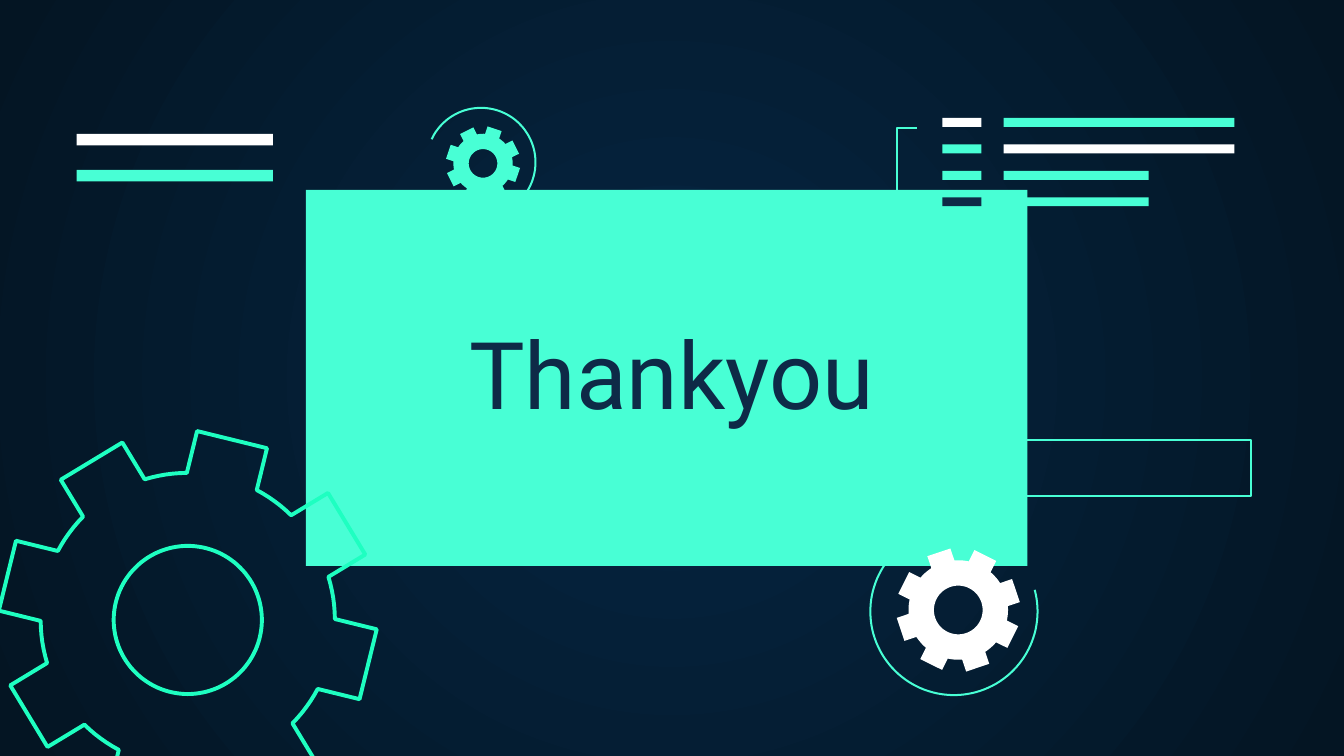
from dataclasses import dataclass
from math import asin, cos, degrees, hypot, radians, sin

from lxml import etree
from pptx import Presentation
from pptx.dml.color import RGBColor
from pptx.enum.shapes import MSO_SHAPE
from pptx.enum.text import MSO_ANCHOR, PP_ALIGN
from pptx.oxml.ns import qn
from pptx.util import Cm, Pt

RECTANGLE = MSO_SHAPE.RECTANGLE
BOTTOM = MSO_ANCHOR.BOTTOM
CENTER = PP_ALIGN.CENTER


@dataclass(frozen=True)
class Theme:
    glow: str = "052643"
    night: str = "041523"
    navy: str = "0E2A47"
    mint: str = "48FFD5"
    green: str = "1EFFC1"
    white: str = "FFFFFF"
    font: str = "Roboto"
    title_size: float = 50
    thin: float = 1.09
    thick: float = 2.1


THEME = Theme()


def rgb(color):
    return RGBColor.from_string(color)


def style(shape, fill=None, line=None, width=THEME.thin):
    shape.shadow.inherit = False
    if fill:
        shape.fill.solid()
        shape.fill.fore_color.rgb = rgb(fill)
    else:
        shape.fill.background()
    if line:
        shape.line.color.rgb = rgb(line)
        shape.line.width = Pt(width)
    else:
        shape.line.fill.background()


def paint_background(slide):
    """Fill the slide with a gradient that darkens from its centre."""
    fill = slide.background.fill
    fill.gradient()
    for stop, color, position in zip(fill.gradient_stops, (THEME.glow, THEME.night), (0, 1)):
        stop.color.rgb = rgb(color)
        stop.position = position
    gradient = slide.element.find(".//" + qn("a:gradFill"))
    linear = gradient.find(qn("a:lin"))
    circle = etree.Element(qn("a:path"), path="circle")
    sides = dict.fromkeys("ltrb", "50000")
    etree.SubElement(circle, qn("a:fillToRect"), sides)
    gradient.replace(linear, circle)


def add_box(slide, left, top, width, height, **look):
    box = slide.shapes.add_shape(RECTANGLE, Cm(left), Cm(top), Cm(width), Cm(height))
    style(box, **look)


def add_outline(slide, *contours, close=True, **look):
    """Draw one freeform from lists of points in centimetres."""
    builder = None
    for contour in contours:
        first, *rest = [(Cm(x), Cm(y)) for x, y in contour]
        if builder is None:
            builder = slide.shapes.build_freeform(*first)
        else:
            builder.move_to(*first)
        builder.add_line_segments(rest, close=close)
    style(builder.convert_to_shape(), **look)


def arc_points(center, radius, start, end, step=3):
    """Points along an arc; angles in degrees, clockwise from the right."""
    count = max(1, round(abs(end - start) / step))
    angles = [radians(start + (end - start) * i / count) for i in range(count + 1)]
    return [(center[0] + radius * cos(a), center[1] + radius * sin(a)) for a in angles]


def add_gear(slide, center, tip, body, hole, half_tooth, angle, teeth=8, **look):
    """Draw a gear; tip is the distance from the centre to a tooth's flat end."""
    pitch = 360 / teeth
    corner_radius = hypot(tip, half_tooth)
    corner = degrees(asin(half_tooth / corner_radius))
    root = degrees(asin(half_tooth / body))
    rim = []
    for tooth in range(teeth):
        middle = angle + tooth * pitch
        rim += arc_points(center, corner_radius, middle - corner, middle + corner, step=360)
        rim += arc_points(center, body, middle + root, middle + pitch - root)
    add_outline(slide, rim, arc_points(center, hole, 360, 0), **look)


def add_text(slide, text, left, top, width, height, *, size, color, font, align, anchor):
    box = slide.shapes.add_textbox(Cm(left), Cm(top), Cm(width), Cm(height))
    frame = box.text_frame
    frame.word_wrap = True
    frame.vertical_anchor = anchor
    frame.margin_left = frame.margin_right = Cm(0.25)
    frame.margin_top = frame.margin_bottom = Cm(0.25)
    para = frame.paragraphs[0]
    para.alignment = align
    span = para.add_run()
    span.text = text
    span.font.size = Pt(size)
    span.font.name = font
    span.font.color.rgb = rgb(color)


def add_code_lines(slide):
    rows = [
        (THEME.white, THEME.mint, 4.36),
        (THEME.mint, THEME.white, 4.36),
        (THEME.mint, THEME.mint, 2.74),
        (THEME.navy, THEME.mint, 2.74),
    ]
    for i, (tag_color, line_color, length) in enumerate(rows):
        top = 2.23 + i * 0.5
        add_box(slide, 17.81, top, 0.74, 0.17, fill=tag_color)
        add_box(slide, 18.97, top, length, 0.17, fill=line_color)
    bracket = [(17.35, 3.96), (16.95, 3.96), (16.95, 2.42), (17.33, 2.42)]
    add_outline(slide, bracket, close=False, line=THEME.mint)


def main():
    deck = Presentation()
    deck.slide_width, deck.slide_height = Cm(25.4), Cm(14.29)
    slide = deck.slides.add_slide(deck.slide_layouts[6])
    paint_background(slide)

    add_box(slide, 5.78, 3.59, 13.64, 7.11, fill=THEME.mint)
    for center, radius, start, end in [
        ((9.09, 3.07), 1.03, 205, 455),
        ((18.03, 11.56), 1.58, -15, 233),
    ]:
        arc = arc_points(center, radius, start, end)
        add_outline(slide, arc, close=False, line=THEME.mint)

    add_gear(slide, (3.55, 11.72), tip=3.51, body=2.78, hole=1.4, half_tooth=0.68,
             angle=13.8, line=THEME.green, width=THEME.thick)
    add_gear(slide, (18.11, 11.53), tip=1.15, body=0.94, hole=0.46, half_tooth=0.23,
             angle=26.4, fill=THEME.white)
    add_gear(slide, (9.13, 3.09), tip=0.69, body=0.56, hole=0.27, half_tooth=0.14,
             angle=18.5, fill=THEME.mint)

    add_code_lines(slide)
    for i, color in enumerate((THEME.white, THEME.mint)):
        add_box(slide, 1.45, 2.53 + i * 0.68, 3.71, 0.22, fill=color)
    add_box(slide, 18.29, 8.32, 5.35, 1.06, line=THEME.mint)

    add_text(slide, "Thankyou", 7.8, 5.94, 9.8, 2.41, size=THEME.title_size,
             color=THEME.navy, font=THEME.font, align=CENTER, anchor=BOTTOM)
    deck.save("out.pptx")


if __name__ == "__main__":
    main()
